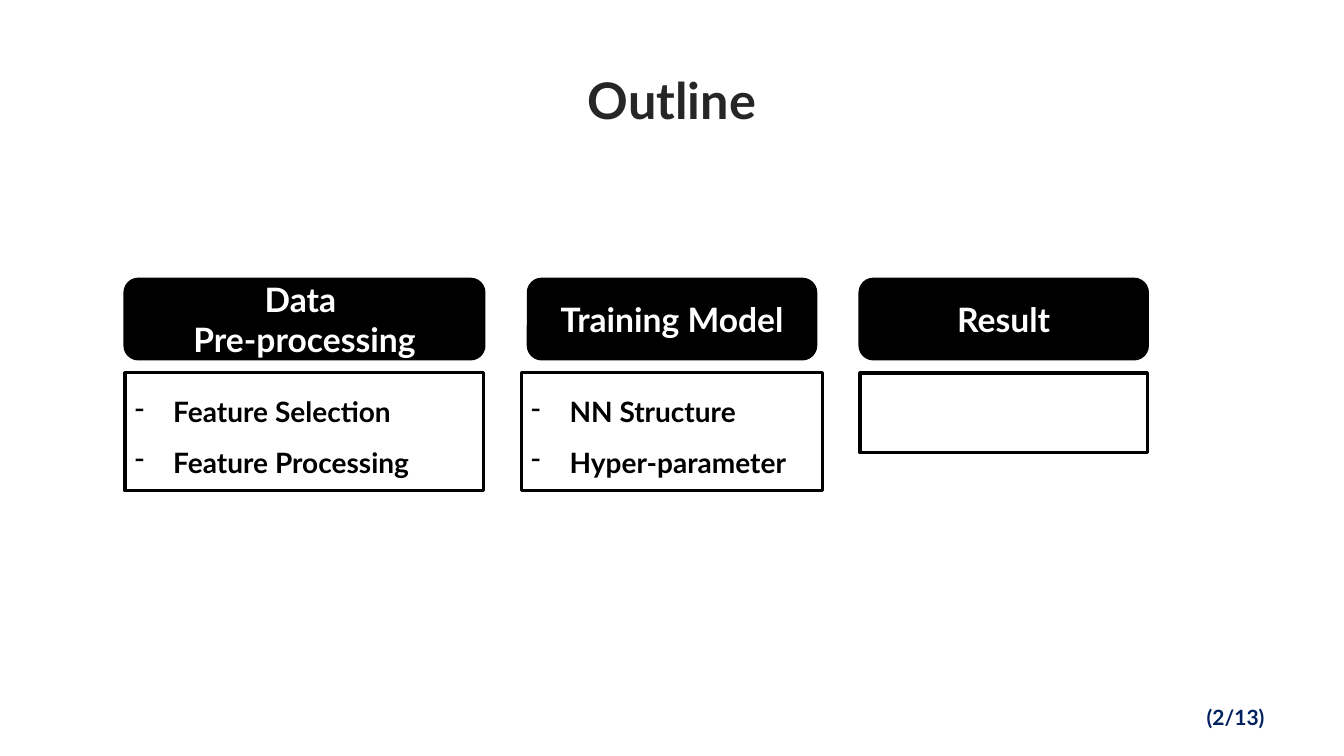
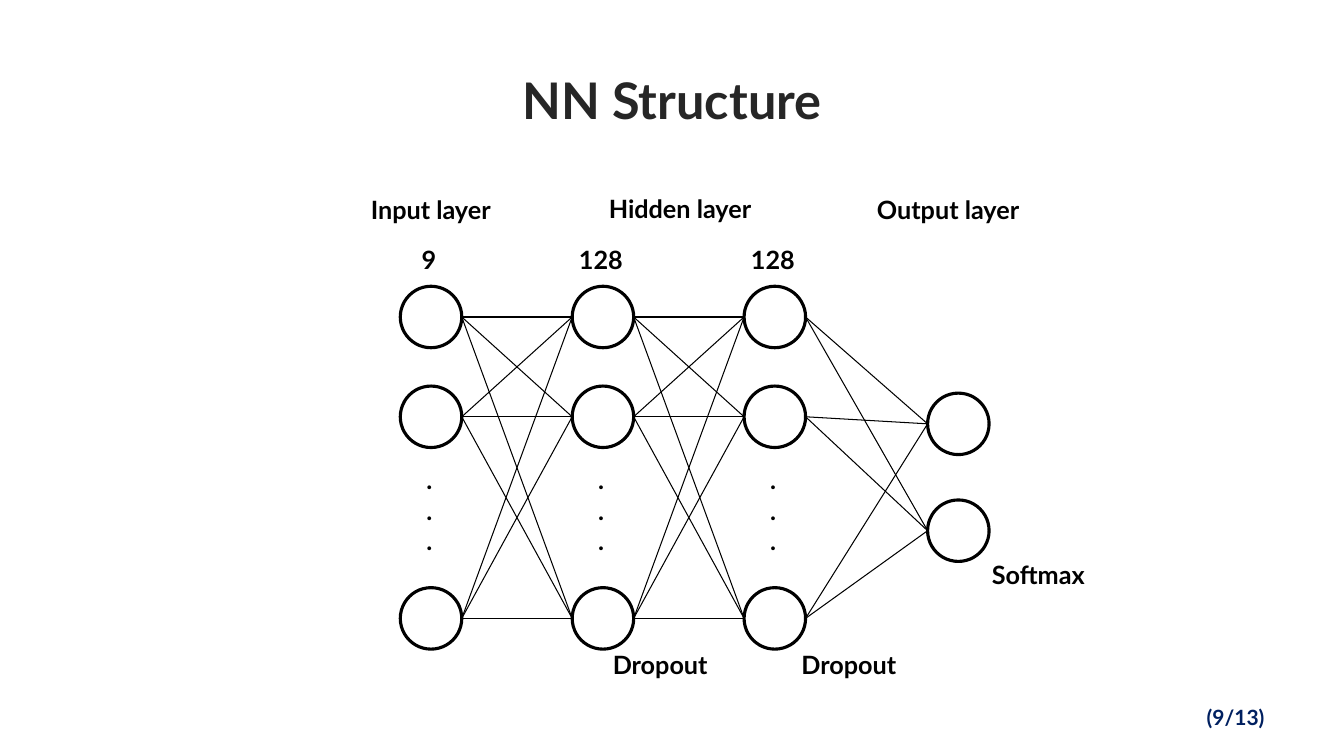
from itertools import product

from lxml import etree
from pptx import Presentation
from pptx.dml.color import RGBColor
from pptx.enum.shapes import MSO_CONNECTOR, MSO_SHAPE
from pptx.enum.text import MSO_ANCHOR, PP_ALIGN
from pptx.oxml.ns import qn
from pptx.util import Inches, Pt

# Shared look
SLIDE_W, SLIDE_H = 13.33, 7.5
FONT = "Lato"
BLACK, WHITE, TITLE_GREY, NAVY = "000000", "FFFFFF", "262626", "002060"
LEFT, CENTER = PP_ALIGN.LEFT, PP_ALIGN.CENTER
TOP, MIDDLE = MSO_ANCHOR.TOP, MSO_ANCHOR.MIDDLE
RECT, ROUNDED, CIRCLE = MSO_SHAPE.RECTANGLE, MSO_SHAPE.ROUNDED_RECTANGLE, MSO_SHAPE.OVAL
STRAIGHT = MSO_CONNECTOR.STRAIGHT
PAGE_COUNT = 13

# Outline columns: heading, heading width, items, extra body width on each side
COLUMNS = [
    ("Data \nPre-processing", 3.56, ["Feature Selection", "Feature Processing"], 0),
    ("Training Model", 2.85, ["NN Structure", "Hyper-parameter"], 0.07),
    ("Result", 2.85, [], 0),
]
COLUMN_LEFT, COLUMN_GAP = 1.24, 0.44
HEADING_TOP, HEADING_H = 2.77, 0.79
BODY_TOP, BODY_H = 3.7, 1.17

# Network grid: full layers share one pitch and one set of rows
NODE = 0.61
LAYER_LEFT, LAYER_PITCH = 3.97, 1.705
LAYER_SIZES = ["9", "128", "128"]
NODE_TOPS = [2.84, 3.83, 5.83]
OUTPUT_LEFT, OUTPUT_TOPS = 9.2, [3.9, 4.96]
COUNT_TOP, DOTS_TOP = 2.37, 4.56
LABELS = [
    ("Input layer", 3.58, 1.88),
    ("Hidden layer", 5.94, 1.87),
    ("Output layer", 8.6, 1.88),
    ("Dropout", 5.98, 6.39),
    ("Dropout", 7.85, 6.39),
    ("Softmax", 9.74, 5.5),
]


def rgb(color):
    return RGBColor.from_string(color)


def write(shape, paragraphs, size, color=BLACK, align=LEFT, anchor=TOP):
    """Fill a shape with bold paragraphs; a newline is a line break."""
    frame = shape.text_frame
    frame.word_wrap = True
    frame.vertical_anchor = anchor
    for number, text in enumerate(paragraphs):
        paragraph = frame.add_paragraph() if number else frame.paragraphs[0]
        paragraph.alignment = align
        for row, part in enumerate(text.split("\n")):
            if row:
                paragraph.add_line_break()
            run = paragraph.add_run()
            run.text = part
            run.font.name = FONT
            run.font.size = Pt(size)
            run.font.bold = True
            run.font.color.rgb = rgb(color)


def add_text(slide, box, paragraphs, size, **style):
    label = slide.shapes.add_textbox(*map(Inches, box))
    write(label, paragraphs, size, **style)


def add_box(slide, kind, box, fill=WHITE):
    shape = slide.shapes.add_shape(kind, *map(Inches, box))
    shape.shadow.inherit = False
    shape.fill.solid()
    shape.fill.fore_color.rgb = rgb(fill)
    shape.line.color.rgb = rgb(BLACK)
    shape.line.width = Pt(2.25)
    return shape


def add_link(slide, start, end):
    link = slide.shapes.add_connector(STRAIGHT, *map(Inches, start + end))
    link.line.color.rgb = rgb(BLACK)
    link.line.width = Pt(0.75)
    etree.SubElement(link._element.spPr, qn("a:effectLst"))


def add_dashes(shape):
    """Give every paragraph a hanging dash and one-and-a-half spacing."""
    for paragraph in shape.text_frame.paragraphs:
        paragraph.line_spacing = 1.5
        props = paragraph._p.get_or_add_pPr()
        props.set("marL", str(Inches(0.38)))
        props.set("indent", str(-Inches(0.38)))
        etree.SubElement(props, qn("a:buFontTx"))
        etree.SubElement(props, qn("a:buChar"), char="-")


def new_slide(deck, title, page):
    slide = deck.slides.add_slide(deck.slide_layouts[6])
    add_text(slide, (11.87, 6.94, 1.13, 0.35), [f"({page}/{PAGE_COUNT})"], 15, color=NAVY)
    add_text(slide, (0.76, 0.36, 11.81, 1.25), [title], 36,
             color=TITLE_GREY, align=CENTER, anchor=MIDDLE)
    return slide


def outline_slide(deck):
    slide = new_slide(deck, "Outline", 2)
    left = COLUMN_LEFT
    for title, width, items, overhang in COLUMNS:
        heading = add_box(slide, ROUNDED, (left, HEADING_TOP, width, HEADING_H), BLACK)
        write(heading, [title], 24, color=WHITE, align=CENTER, anchor=MIDDLE)
        body_h = BODY_H if items else HEADING_H
        body = add_box(slide, RECT, (left - overhang, BODY_TOP, width + 2 * overhang, body_h))
        if items:
            write(body, items, 20)
            add_dashes(body)
        left += width + COLUMN_GAP


def network_slide(deck):
    slide = new_slide(deck, "NN Structure", 9)
    layers = [(LAYER_LEFT + i * LAYER_PITCH, NODE_TOPS) for i in range(len(LAYER_SIZES))]
    layers.append((OUTPUT_LEFT, OUTPUT_TOPS))

    # Nodes
    for left, tops in layers:
        for top in tops:
            add_box(slide, CIRCLE, (left, top, NODE, NODE))

    # Every node is linked to every node of the next layer
    for (left, tops), (next_left, next_tops) in zip(layers, layers[1:]):
        for top, next_top in product(tops, next_tops):
            add_link(slide, (left + NODE, top + NODE / 2), (next_left, next_top + NODE / 2))

    # Layer sizes and the dots for the nodes left out
    for (left, _), count in zip(layers, LAYER_SIZES):
        add_text(slide, (left - 0.06, COUNT_TOP, 0.69, 0.4), [count], 18, align=CENTER)
        add_text(slide, (left + 0.16, DOTS_TOP, 0.34, 1.01), ["."] * 3, 18)

    for text, left, top in LABELS:
        add_text(slide, (left, top, 1.8, 0.4), [text], 18)


def main():
    deck = Presentation()
    deck.slide_width, deck.slide_height = Inches(SLIDE_W), Inches(SLIDE_H)
    outline_slide(deck)
    network_slide(deck)
    deck.save("out.pptx")


if __name__ == "__main__":
    main()
